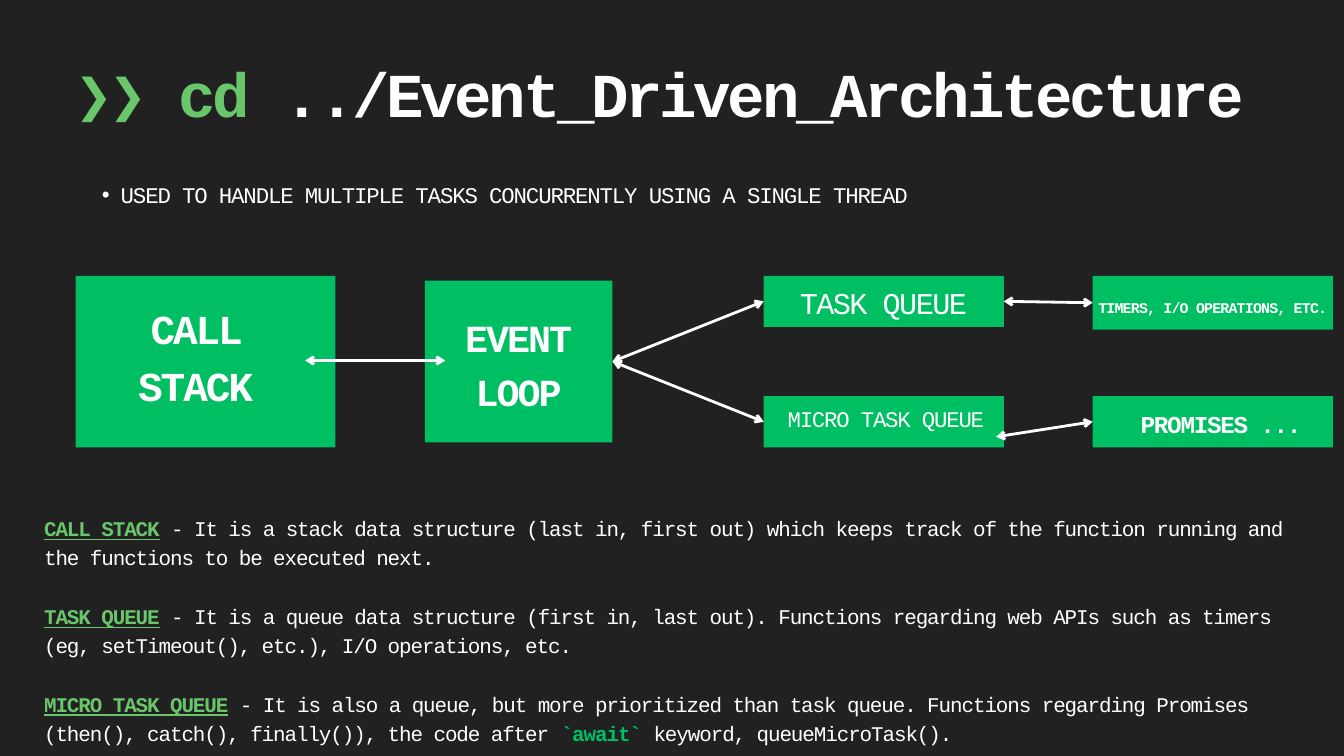
from lxml.etree import SubElement
from pptx import Presentation
from pptx.dml.color import RGBColor
from pptx.enum.shapes import MSO_CONNECTOR, MSO_SHAPE
from pptx.enum.text import MSO_ANCHOR, MSO_AUTO_SIZE, PP_ALIGN
from pptx.oxml.ns import qn
from pptx.util import Emu, Pt

PX = 9525  # EMU in one px, 96 px to the inch
FONT = "Courier New"
TRACKING = -0.0525  # letter spacing as a share of the text size
COLORS = {
    "background": "212121",
    "box": "00BF63",
    "accent": "6AC66B",
    "text": "FFFFFF",
}
TOP, LEFT, RIGHT = 0, 1, 3


def px(*lengths):
    return [Emu(length * PX) for length in lengths]


def color(name):
    return RGBColor.from_string(COLORS[name])


def add_box(slide, *area):
    shape = slide.shapes.add_shape(MSO_SHAPE.RECTANGLE, *px(*area))
    shape.shadow.inherit = False
    shape.fill.solid()
    shape.fill.fore_color.rgb = color("box")
    shape.line.fill.background()
    return shape


def add_arrow(slide, start, end):
    """Each end is an (x, y) point or a (box, side) pair."""
    connector = slide.shapes.add_connector(MSO_CONNECTOR.STRAIGHT, 0, 0, 0, 0)
    if isinstance(start[0], int):
        connector.begin_x, connector.begin_y = px(*start)
    else:
        connector.begin_connect(*start)
    if isinstance(end[0], int):
        connector.end_x, connector.end_y = px(*end)
    else:
        connector.end_connect(*end)
    connector.line.color.rgb = color("text")
    connector.line.width = Pt(3)
    properties = connector._element.spPr
    line = properties.find(qn("a:ln"))
    for tag in ("a:headEnd", "a:tailEnd"):
        SubElement(line, qn(tag), type="arrow")
    SubElement(properties, qn("a:effectLst"))


def add_text_box(slide, area):
    text_box = slide.shapes.add_textbox(*px(*area))
    frame = text_box.text_frame
    frame.word_wrap = True
    frame.auto_size = MSO_AUTO_SIZE.SHAPE_TO_FIT_TEXT
    frame.margin_left = frame.margin_right = 0
    frame.margin_top = frame.margin_bottom = 0
    return frame


def add_run(paragraph, text, size, fill="text", bold=False, underline=False):
    run = paragraph.add_run()
    run.text = text
    font = run.font
    font.name, font.size = FONT, Pt(size)
    font.bold, font.underline = bold, underline
    font.color.rgb = color(fill)
    run._r.get_or_add_rPr().set("spc", str(round(size * TRACKING * 100)))


def add_label(slide, area, lines, size, spacing, bold=False):
    frame = add_text_box(slide, area)
    for index, line in enumerate(lines):
        paragraph = frame.add_paragraph() if index else frame.paragraphs[0]
        paragraph.alignment = PP_ALIGN.CENTER
        paragraph.line_spacing = Pt(spacing)
        add_run(paragraph, line, size, bold=bold)
    return frame


def add_title(slide):
    paragraph = add_text_box(slide, (108, 110, 1771, 83)).paragraphs[0]
    paragraph.line_spacing = Pt(56.9)
    add_run(paragraph, "❯❯ cd", 66.9, "accent", bold=True)
    add_run(paragraph, " ../Event_Driven_Architecture", 66.9, bold=True)


def add_summary(slide):
    summary = "USED TO HANDLE MULTIPLE TASKS CONCURRENTLY USING A SINGLE THREAD"
    frame = add_label(slide, (108, 252, 1198, 42), [summary], 24, 33.6)
    paragraph = frame.paragraphs[0]
    paragraph.level = 1
    properties = paragraph._p.get_or_add_pPr()
    properties.set("marL", str(55 * PX))
    properties.set("indent", str(-27 * PX))
    SubElement(properties, qn("a:buFont"), typeface="Arial")
    SubElement(properties, qn("a:buChar"), char="•")


def add_diagram(slide):
    # Boxes
    upper, lower = 394, 566
    queue_left, source_left, width, height = 1091, 1561, 343, 73
    add_box(slide, 108, upper, 371, 245)  # call stack
    event_loop = add_box(slide, 607, 401, 268, 231)
    task_queue = add_box(slide, queue_left, upper, width, height)
    micro_queue = add_box(slide, queue_left, lower, width, height)
    timers = add_box(slide, source_left, upper, width, 77)
    promises = add_box(slide, source_left, lower, width, height)

    # Arrows
    add_arrow(slide, (436, 515), (636, 515))
    for queue in (task_queue, micro_queue):
        add_arrow(slide, (event_loop, RIGHT), (queue, LEFT))
    add_arrow(slide, (task_queue, RIGHT), (timers, LEFT))
    add_arrow(slide, (1423, 624), (promises, LEFT))

    # Labels
    add_label(slide, (123, 421, 313, 161), ["CALL STACK"], 44.1, 61.8, bold=True)
    add_label(slide, (664, 438, 154, 149), ["EVENT", "LOOP"], 41.1, 57.5, bold=True)
    add_label(slide, (1141, 398, 242, 57), ["TASK QUEUE"], 32.4, 45.4)
    add_label(slide, (1113, 572, 305, 42), ["MICRO TASK QUEUE"], 23.9, 33.4)
    add_label(slide, (1628, 578, 233, 45), ["PROMISES ..."], 26, 36.4, bold=True)
    frame = add_label(slide, (source_left, 413, width, 59),
                      ["TIMERS, I/O OPERATIONS, ETC."], 16, 13.6, bold=True)
    frame.auto_size = MSO_AUTO_SIZE.NONE
    frame.vertical_anchor = MSO_ANCHOR.MIDDLE


def add_definitions(slide):
    size, spacing = 22.4, 31.4
    definitions = [
        ("CALL STACK", " - It is a stack data structure (last in, first out) which "
         "keeps track of the function running and the functions to be executed next."),
        ("TASK QUEUE", " - It is a queue data structure (first in, last out). "
         "Functions regarding web APIs such as timers (eg, setTimeout(), etc.), "
         "I/O operations, etc."),
        ("MICRO TASK QUEUE", " - It is also a queue, but more prioritized than task "
         "queue. Functions regarding Promises (then(), catch(), finally()), "
         "the code after "),
    ]
    frame = add_text_box(slide, (63, 730, 1793, 326))
    for index, (term, meaning) in enumerate(definitions):
        paragraph = frame.add_paragraph() if index else frame.paragraphs[0]
        paragraph.line_spacing = Pt(spacing)
        paragraph.space_before = Pt(spacing if index else 0)
        add_run(paragraph, term, size, "accent", bold=True, underline=True)
        add_run(paragraph, meaning, size)
    add_run(paragraph, "`await`", size, "box", bold=True)
    add_run(paragraph, " keyword, queueMicroTask().", size)


def main():
    presentation = Presentation()
    presentation.slide_width, presentation.slide_height = px(1920, 1080)
    slide = presentation.slides.add_slide(presentation.slide_layouts[6])
    slide.background.fill.solid()
    slide.background.fill.fore_color.rgb = color("background")
    add_title(slide)
    add_summary(slide)
    add_diagram(slide)
    add_definitions(slide)
    presentation.save("out.pptx")


if __name__ == "__main__":
    main()
